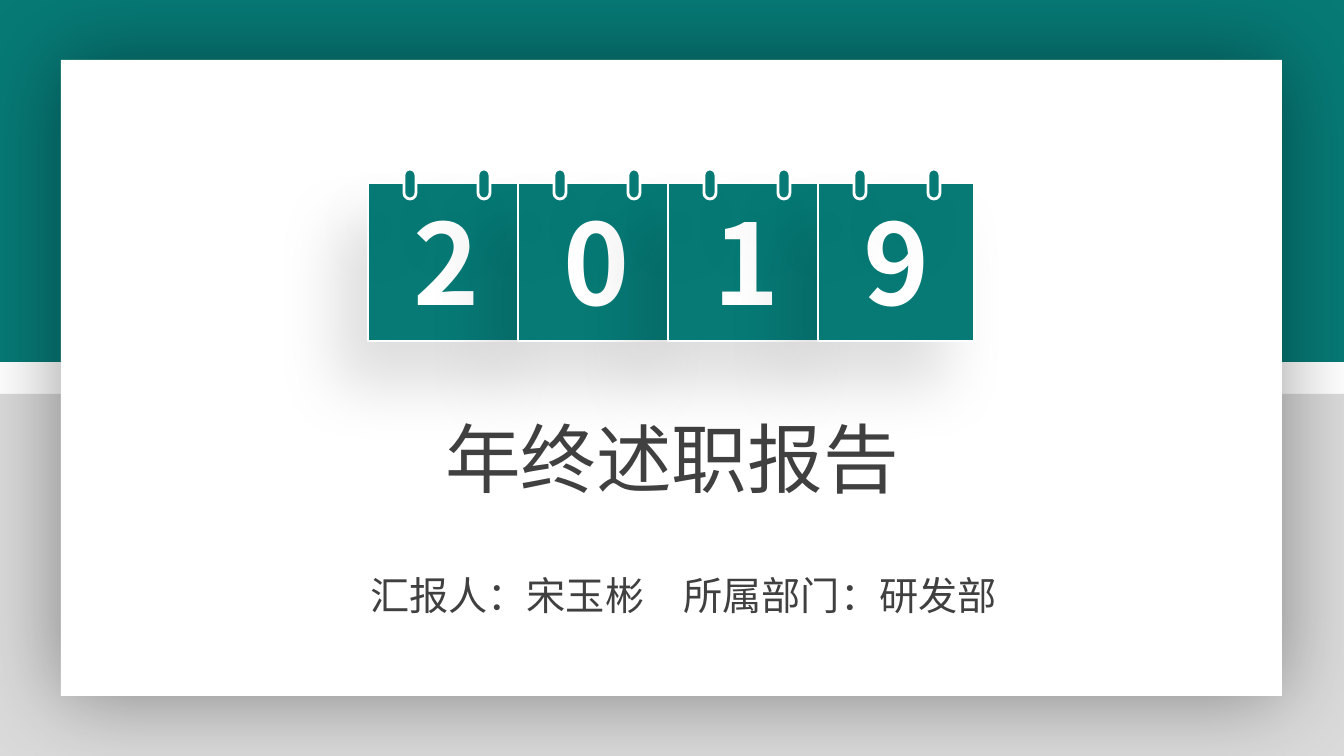
from lxml.etree import SubElement
from pptx import Presentation
from pptx.dml.color import RGBColor
from pptx.enum.shapes import MSO_SHAPE
from pptx.enum.text import MSO_ANCHOR, PP_ALIGN
from pptx.oxml.ns import qn
from pptx.util import Pt

WIDTH, HEIGHT = 1344, 756
SCALE = 12192000 / WIDTH
FONT = "Noto Sans CJK SC"
TEAL, GRAY, WHITE, DARK = "077A76", "DADADA", "FFFFFF", "404040"
CARD_SHADOW = {"alpha": 40, "blur": 63, "distance": 0, "angle": 0}
TILE_SHADOW = {"alpha": 13, "blur": 45, "distance": 38, "angle": 125}


def px(value):
    return round(value * SCALE)


def color(value):
    return RGBColor.from_string(value)


def add_shadow(shape, alpha, blur, distance, angle):
    effects = shape._element.spPr.find(qn("a:effectLst"))
    shadow = SubElement(effects, qn("a:outerShdw"), blurRad=str(Pt(blur)), dist=str(Pt(distance)),
                        dir=str(angle * 60000), algn="ctr", rotWithShape="0")
    tone = SubElement(shadow, qn("a:srgbClr"), val="000000")
    SubElement(tone, qn("a:alpha"), val=str(alpha * 1000))


def add_block(shapes, box, fill, kind=MSO_SHAPE.RECTANGLE, outline=None, shadow=None):
    shape = shapes.add_shape(kind, *map(px, box))
    shape.fill.solid()
    shape.fill.fore_color.rgb = color(fill)
    if outline:
        shape.line.color.rgb = color(outline)
        shape.line.width = Pt(2)
    else:
        shape.line.fill.background()
    shape.shadow.inherit = False
    if shadow:
        add_shadow(shape, **shadow)
    return shape


def add_text(slide, box, text, size, fill, bold=False, spacing=0, wrap=True):
    frame = slide.shapes.add_textbox(*map(px, box)).text_frame
    frame.word_wrap = wrap
    frame.vertical_anchor = MSO_ANCHOR.TOP
    frame.text = text
    paragraph = frame.paragraphs[0]
    paragraph.alignment = PP_ALIGN.CENTER
    run = paragraph.runs[0]
    run.font.size = Pt(size)
    run.font.bold = bold
    run.font.color.rgb = color(fill)
    run.font.name = FONT
    properties = run._r.get_or_add_rPr()
    SubElement(properties, qn("a:ea"), typeface=FONT)
    if spacing:
        properties.set("spc", str(spacing * 100))


def add_background(slide, width, height):
    band = 362
    add_block(slide.shapes, (0, 0, width, band), TEAL)
    add_block(slide.shapes, (0, height - band, width, band), GRAY)
    add_block(slide.shapes, (61, 60, 1221, 636), WHITE, shadow=CARD_SHADOW)


def add_tile(slide, left, top, digit):
    add_block(slide.shapes, (left, top, 157, 158), TEAL, outline=WHITE, shadow=TILE_SHADOW)
    add_text(slide, (left + 36, top + 6, 86, 146), digit, 80, WHITE, bold=True, spacing=-3, wrap=False)


def add_rings(slide, left, top):
    group = slide.shapes.add_group_shape()
    for offset in (36, 110):
        ring = add_block(group.shapes, (left + offset, top - 14, 12, 30), TEAL,
                         MSO_SHAPE.ROUNDED_RECTANGLE, WHITE, TILE_SHADOW)
        ring.adjustments[0] = 0.5


def add_calendar(slide, left, top, year):
    step = 150
    for index, digit in enumerate(year):
        add_tile(slide, left + index * step, top, digit)
    for index in reversed(range(len(year))):
        add_rings(slide, left + index * step, top)


def add_titles(slide, left, top):
    add_text(slide, (left, top, 714, 102), "年终述职报告", 54, DARK)
    add_text(slide, (left + 33, top + 159, 671, 57), "汇报人：宋玉彬　所属部门：研发部", 28, DARK)


def main():
    presentation = Presentation()
    presentation.slide_width = px(WIDTH)
    presentation.slide_height = px(HEIGHT)
    slide = presentation.slides.add_slide(presentation.slide_layouts[6])
    add_background(slide, WIDTH, HEIGHT)
    add_titles(slide, 315, 407)
    add_calendar(slide, 368, 183, "2019")
    presentation.save("out.pptx")


if __name__ == "__main__":
    main()
